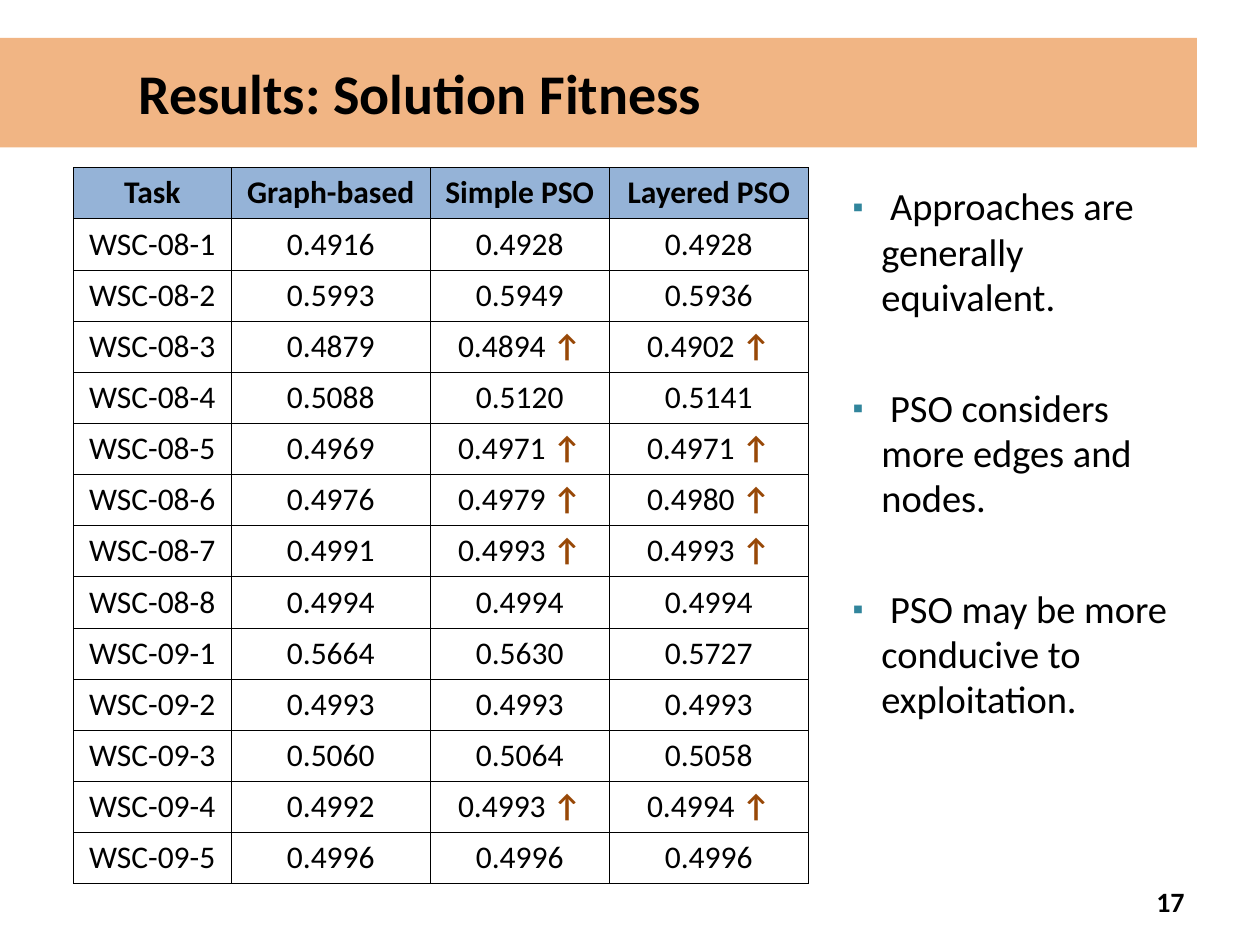
from dataclasses import dataclass

from lxml.etree import SubElement
from pptx import Presentation
from pptx.dml.color import RGBColor
from pptx.enum.text import MSO_ANCHOR, MSO_AUTO_SIZE, PP_ALIGN
from pptx.oxml.ns import qn
from pptx.util import Pt


@dataclass(frozen=True)
class Theme:
    font: str = "Calibri"
    ink: str = "000000"
    paper: str = "FFFFFF"
    band: str = "E46C0A"
    head: str = "95B3D7"
    arrow: str = "984807"
    bullet: str = "31859C"
    title: float = 32
    body: float = 22
    cell: float = 18
    page: float = 16
    rule: float = 0.45


HEADS = ["Task", "Graph-based", "Simple PSO", "Layered PSO"]
ROWS = """\
WSC-08-1|0.4916|0.4928|0.4928
WSC-08-2|0.5993|0.5949|0.5936
WSC-08-3|0.4879|0.4894 ↑|0.4902 ↑
WSC-08-4|0.5088|0.5120|0.5141
WSC-08-5|0.4969|0.4971 ↑|0.4971 ↑
WSC-08-6|0.4976|0.4979 ↑|0.4980 ↑
WSC-08-7|0.4991|0.4993 ↑|0.4993 ↑
WSC-08-8|0.4994|0.4994|0.4994
WSC-09-1|0.5664|0.5630|0.5727
WSC-09-2|0.4993|0.4993|0.4993
WSC-09-3|0.5060|0.5064|0.5058
WSC-09-4|0.4992|0.4993 ↑|0.4994 ↑
WSC-09-5|0.4996|0.4996|0.4996"""
POINTS = [
    " Approaches are generally equivalent.",
    " PSO considers more edges and nodes.",
    " PSO may be more conducive to exploitation.",
]


def add(parent, tag, **attrs):
    return SubElement(parent, qn(tag), attrs)


def put_text(para, text, *, font, size, color, bold=False,
             align=PP_ALIGN.LEFT):
    """Append one formatted run to a paragraph."""
    para.alignment = align
    run = para.add_run()
    run.text = text
    run.font.name = font
    run.font.size = Pt(size)
    run.font.bold = bold
    run.font.color.rgb = RGBColor.from_string(color)


def place(shape, left, top, width, height):
    shape.left, shape.top = Pt(left), Pt(top)
    shape.width, shape.height = Pt(width), Pt(height)


def fill(item, color):
    item.fill.solid()
    item.fill.fore_color.rgb = RGBColor.from_string(color)


class Deck:
    """Holds the theme and the slide being built."""

    def __init__(self, theme, slide):
        self.theme = theme
        self.slide = slide

    def text(self, para, text, size, color=None, **form):
        put_text(para, text, font=self.theme.font, size=size,
                 color=color or self.theme.ink, **form)

    def title(self, text, box, indent):
        shape = self.slide.shapes.title
        place(shape, *box)
        fill(shape, self.theme.band)
        tint = shape.element.find(".//" + qn("a:srgbClr"))
        add(tint, "a:alpha", val="50000")
        frame = shape.text_frame
        frame.auto_size = MSO_AUTO_SIZE.NONE
        frame.vertical_anchor = MSO_ANCHOR.MIDDLE
        frame.margin_left = Pt(indent)
        self.text(frame.paragraphs[0], text, self.theme.title, bold=True)

    def list(self, points, box, indent, gap):
        shape = self.slide.placeholders[1]
        place(shape, *box)
        frame = shape.text_frame
        frame.auto_size = MSO_AUTO_SIZE.NONE
        for i, point in enumerate(points):
            para = frame.add_paragraph() if i else frame.paragraphs[0]
            para.line_spacing = 0.98
            para.space_before = Pt(0)
            para.space_after = Pt(gap)
            self.text(para, point, self.theme.body)
            props = para._p.get_or_add_pPr()
            props.set("marL", str(Pt(indent)))
            props.set("indent", str(-Pt(indent)))
            add(add(props, "a:buClr"), "a:srgbClr", val=self.theme.bullet)
            add(props, "a:buSzPct", val="80000")
            add(props, "a:buChar", char="▪")

    def table(self, rows, left, top, widths, height):
        frame = self.slide.shapes.add_table(
            len(rows), len(widths), Pt(left), Pt(top),
            Pt(sum(widths)), Pt(height * len(rows)))
        table = frame.table
        table.horz_banding = False
        for col, width in zip(table.columns, widths):
            col.width = Pt(width)
        for r, row in enumerate(rows):
            table.rows[r].height = Pt(height)
            for c, text in enumerate(row):
                self.cell(table.cell(r, c), text, head=r == 0)

    def cell(self, cell, text, head):
        theme = self.theme
        props = cell._tc.get_or_add_tcPr()
        for side in "LRTB":
            line = add(props, "a:ln" + side, w=str(Pt(theme.rule)))
            add(add(line, "a:solidFill"), "a:srgbClr", val=theme.ink)
        fill(cell, theme.head if head else theme.paper)
        para = cell.text_frame.paragraphs[0]
        value, arrow, _ = text.partition("↑")
        self.text(para, value, theme.cell, bold=head, align=PP_ALIGN.CENTER)
        if arrow:
            self.text(para, arrow, theme.cell, theme.arrow, bold=True,
                      align=PP_ALIGN.CENTER)

    def page(self, number, box):
        shape = self.slide.shapes.add_textbox(*map(Pt, box))
        frame = shape.text_frame
        frame.word_wrap = True
        frame.vertical_anchor = MSO_ANCHOR.MIDDLE
        self.text(frame.paragraphs[0], str(number), self.theme.page,
                  bold=True, align=PP_ALIGN.RIGHT)


def main():
    show = Presentation()
    show.slide_width, show.slide_height = Pt(720), Pt(540)
    deck = Deck(Theme(), show.slides.add_slide(show.slide_layouts[1]))
    deck.title("Results: Solution Fitness", (0, 21.6, 684, 62.6), indent=79.2)
    deck.page(17, (516, 500.4, 168, 28.8))
    rows = [HEADS] + [line.split("|") for line in ROWS.splitlines()]
    deck.table(rows, 42, 95.8, [90, 114, 102, 114], 29.25)
    deck.list(POINTS, (480, 102, 204, 390), indent=16.5, gap=37.4)
    show.save("out.pptx")


if __name__ == "__main__":
    main()
